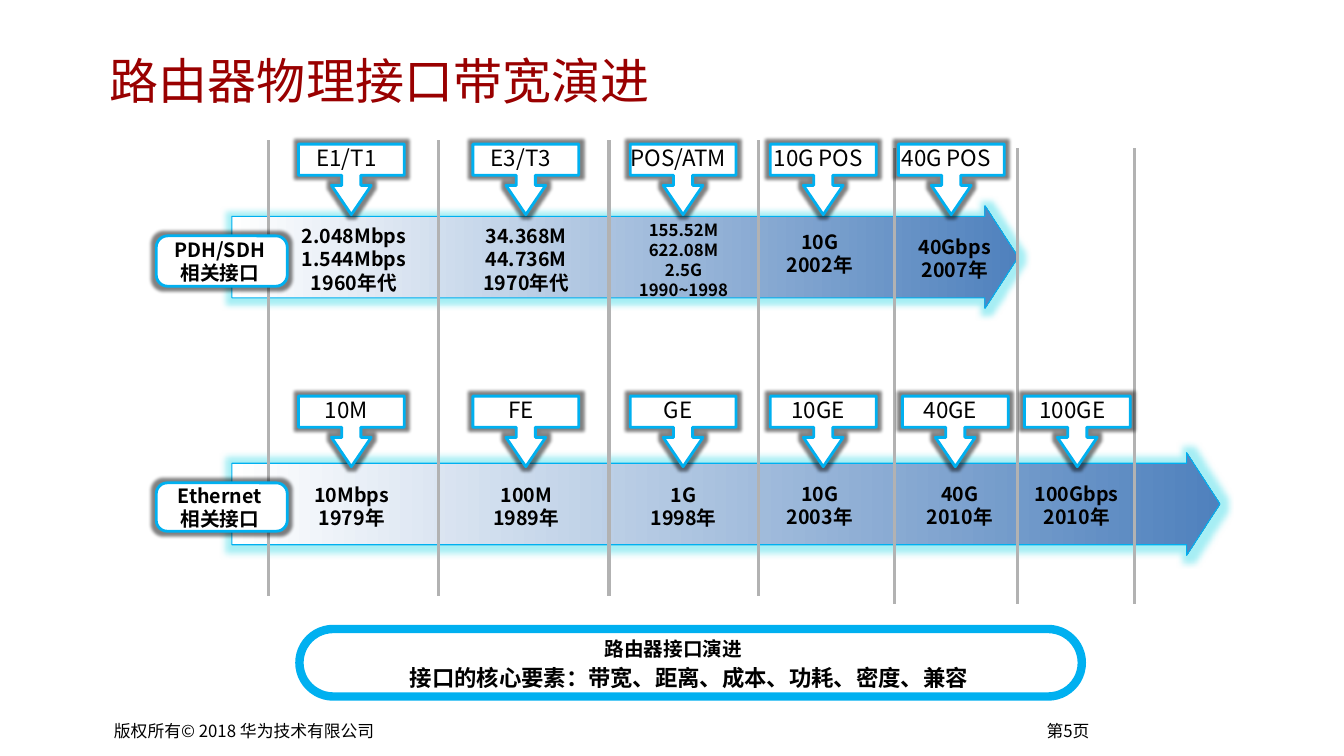
"""Build the slide on the bandwidth evolution of router interfaces."""
from dataclasses import dataclass

import pptx
import pptx.dml.color
import pptx.enum.dml
import pptx.enum.shapes
import pptx.enum.text
import pptx.oxml
import pptx.oxml.ns
import pptx.util
from pptx.util import Inches

FONT = "Noto Sans CJK SC"
BLUE = "00B0F0"
KIND = pptx.enum.shapes.MSO_SHAPE
ALIGN = pptx.enum.text.PP_ALIGN
ANCHOR = pptx.enum.text.MSO_ANCHOR


@dataclass
class Stage:
    tag: str
    left: float
    text: str
    mid: float
    top: float
    size: int = 14


@dataclass
class Track:
    name: str
    top: float
    width: float
    high: float
    stages: list[Stage]


TRACKS = [
    Track("Ethernet\n相关接口", 4.49, 9.8, 0.48, [
        Stage("10M", 2.96, "10Mbps\n1979年", 3.49, 4.74),
        Stage("FE", 4.69, "100M\n1989年", 5.22, 4.74),
        Stage("GE", 6.25, "1G\n1998年", 6.78, 4.74),
        Stage("10GE", 7.64, "10G\n2003年", 8.13, 4.73),
        Stage("40GE", 8.95, "40G\n2010年", 9.52, 4.73),
        Stage("100GE", 10.16, "100Gbps\n2010年", 10.68, 4.73),
    ]),
    Track("PDH/SDH\n相关接口", 2.04, 7.8, 0.5, [
        Stage("E1/T1", 2.96, "2.048Mbps\n1.544Mbps\n1960年代", 3.51, 2.17),
        Stage("E3/T3", 4.69, "34.368M\n44.736M\n1970年代", 5.22, 2.17),
        Stage("POS/ATM", 6.25, "155.52M\n622.08M\n2.5G\n1990~1998", 6.78, 2.13, 12),
        Stage("10G POS", 7.64, "10G\n2002年", 8.13, 2.23),
        Stage("40G POS", 8.91, "40Gbps\n2007年", 9.47, 2.28),
    ]),
]
RULES = {1.39: [2.66, 4.35, 6.04, 7.52], 1.47: [8.87, 10.09, 11.25]}


def tint(code: str) -> pptx.dml.color.RGBColor:
    return pptx.dml.color.RGBColor.from_string(code)


def write(shape, text: str, size: int, bold: bool = False, hue: str = "000000",
          align=ALIGN.CENTER, anchor=ANCHOR.TOP, pad=(0.1, 0.05, 0.1, 0.05),
          wrap: bool = True) -> None:
    frame = shape.text_frame
    frame.text = text
    frame.word_wrap = wrap
    frame.vertical_anchor = anchor
    (frame.margin_left, frame.margin_top,
     frame.margin_right, frame.margin_bottom) = map(Inches, pad)
    for para in frame.paragraphs:
        para.alignment = align
        para.line_spacing = pptx.util.Pt(round(size * 1.2, 1))
        for run in para.runs:
            run.font.size = pptx.util.Pt(size)
            run.font.bold = bold
            run.font.name = FONT
            run.font.color.rgb = tint(hue)
            east = pptx.oxml.parse_xml(
                f'<a:ea {pptx.oxml.ns.nsdecls("a")} typeface="{FONT}"/>')
            run.font._element.find(pptx.oxml.ns.qn("a:latin")).addnext(east)


def label(slide, at: tuple, text: str, size: int, **style) -> None:
    write(slide.shapes.add_textbox(*map(Inches, at)), text, size, **style)


def block(slide, kind, at: tuple, adjust: list[float], edge: float):
    shape = slide.shapes.add_shape(kind, *map(Inches, at))
    for i, part in enumerate(adjust):
        shape.adjustments[i] = part
    shape.fill.solid()
    shape.fill.fore_color.rgb = tint("FFFFFF")
    shape.line.color.rgb = tint(BLUE)
    shape.line.width = pptx.util.Pt(edge)
    shape.shadow.inherit = False
    return shape


def glow(shape, hue: str, size: float, alpha: int) -> None:
    effect = shape._element.spPr.find(pptx.oxml.ns.qn("a:effectLst"))
    effect.append(pptx.oxml.parse_xml(
        f'<a:glow {pptx.oxml.ns.nsdecls("a")} rad="{pptx.util.Pt(size)}">'
        f'<a:srgbClr val="{hue}"><a:alpha val="{alpha * 1000}"/></a:srgbClr></a:glow>'))


def arrow(slide, track: Track) -> None:
    shape = block(slide, KIND.RIGHT_ARROW, (2.3, track.top, track.width, 1.02),
                  [0.793, 0.324], 0.75)
    shape.fill.gradient()
    shape.fill.gradient_angle = 0
    for stop, hue, place in zip(shape.fill.gradient_stops, ("FFFFFF", "4F81BD"), (0, 1)):
        stop.color.rgb = tint(hue)
        stop.position = place
    glow(shape, "00D0E0", 9, 35)


def rule(slide, x: float, top: float) -> None:
    line = slide.shapes.add_connector(
        pptx.enum.shapes.MSO_CONNECTOR.STRAIGHT,
        *map(Inches, (x, top, x, top + 4.52)))
    line.line.color.rgb = tint("B2B2B2")
    line.line.width = pptx.util.Pt(2.25)
    line._element.spPr.append(pptx.oxml.parse_xml(
        f'<a:effectLst {pptx.oxml.ns.nsdecls("a")}/>'))


def fill(slide, track: Track) -> None:
    for stage in track.stages:
        row = 1.43 if track.top < 4 else 3.93
        call = block(slide, KIND.DOWN_ARROW_CALLOUT, (stage.left, row, 1.05, 0.7),
                     [0.271, 0.282, 0.415, 0.442], 2)
        glow(call, "000000", 5, 50)
        write(call, stage.tag, 16, anchor=ANCHOR.MIDDLE, pad=(0, 0, 0.1, 0.05), wrap=False)
        high = 0.1 + len(stage.text.split("\n")) * stage.size / 60
        label(slide, (stage.mid - 0.68, stage.top, 1.36, round(high, 2)),
              stage.text, stage.size, bold=True)
    name = block(slide, KIND.ROUNDED_RECTANGLE,
                 (1.55, track.top + 0.3, 1.3, track.high), [0.228], 2)
    glow(name, "000000", 5, 50)
    write(name, track.name, 14, bold=True, anchor=ANCHOR.MIDDLE, pad=(0, 0, 0.04, 0))


def main() -> None:
    deck = pptx.Presentation()
    deck.slide_width, deck.slide_height = Inches(13.33), Inches(7.5)
    slide = deck.slides.add_slide(deck.slide_layouts[6])
    foot = {"align": ALIGN.LEFT, "pad": (0.09, 0.04, 0.09, 0.04), "wrap": False}
    label(slide, (10.29, 7.11, 0.74, 0.29), "第5页", 12, **foot)
    label(slide, (1.04, 7.11, 2.85, 0.29), "版权所有© 2018 华为技术有限公司", 12, **foot)
    block(slide, KIND.ROUNDED_RECTANGLE, (2.97, 6.24, 7.76, 0.67), [0.5], 6)
    label(slide, (1, 0.32, 11.55, 0.95), "路由器物理接口带宽演进", 35, hue="990000",
          align=ALIGN.LEFT, anchor=ANCHOR.MIDDLE, pad=foot["pad"])
    for track in TRACKS:
        arrow(slide, track)
    for top, places in RULES.items():
        for x in places:
            rule(slide, x, top)
    for track in TRACKS:
        fill(slide, track)
    label(slide, (4.33, 6.27, 4.7, 0.34), "路由器接口演进", 14, bold=True)
    label(slide, (3.61, 6.54, 6.45, 0.37),
          "接口的核心要素：带宽、距离、成本、功耗、密度、兼容", 16, bold=True)
    deck.save("out.pptx")


if __name__ == "__main__":
    main()
